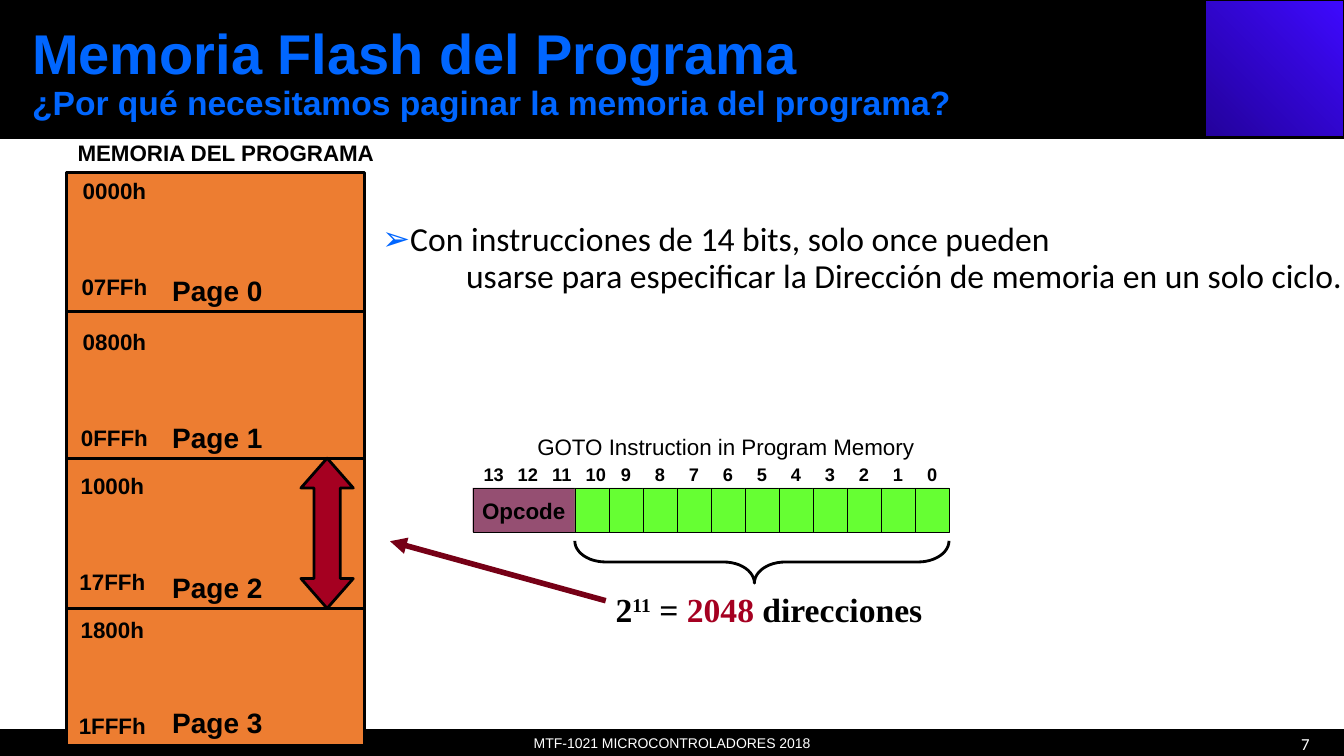
import pptx
import pptx.dml.color
import pptx.enum.dml
import pptx.enum.shapes
import pptx.enum.text
import pptx.oxml
import pptx.oxml.ns
import pptx.util
from lxml import etree

Pt = pptx.util.Pt
RGBColor = pptx.dml.color.RGBColor
SHAPE = pptx.enum.shapes.MSO_SHAPE
ALIGN = pptx.enum.text.PP_ALIGN
ANCHOR = pptx.enum.text.MSO_ANCHOR
qn = pptx.oxml.ns.qn

BLACK = RGBColor(0x00, 0x00, 0x00)
WHITE = RGBColor(0xFF, 0xFF, 0xFF)
BLUE = RGBColor(0x00, 0x66, 0xFF)
ORANGE = RGBColor(0xED, 0x7D, 0x31)
RED = RGBColor(0xA5, 0x00, 0x21)
DARK_RED = RGBColor(0x76, 0x00, 0x16)
PLUM = RGBColor(0x95, 0x4F, 0x72)
GREEN = RGBColor(0x66, 0xFF, 0x33)
CORNER_STOPS = [RGBColor(0x23, 0x02, 0x9B), RGBColor(0x3E, 0x09, 0xFF)]

# Content
TITLE = [("Memoria Flash del Programa", 40),
         ("¿Por qué necesitamos paginar la memoria del programa?", 24)]
BODY = ["Con instrucciones de 14 bits, solo once pueden",
        "usarse para especificar la Dirección de memoria en un solo ciclo."]
FOOTER, PAGE_NUMBER = "MTF-1021 MICROCONTROLADORES 2018", "7"
MEMORY_HEADING = "MEMORIA DEL PROGRAMA"
# name, first address, last address, address left, address top, page bottom
MEMORY_PAGES = [
    ("Page 0", "0000h", "07FFh", 47.5, 123, 222.5),
    ("Page 1", "0800h", "0FFFh", 47.5, 231, 327.6),
    ("Page 2", "1000h", "17FFh", 46, 333.4, 434.9),
    ("Page 3", "1800h", "1FFFh", 46, 436.3, 531.4),
]
GOTO_HEADING, OPCODE = "GOTO Instruction in Program Memory", "Opcode"
BIT_COUNT, OPCODE_BITS = 14, 3

# Formats
BOLD = {"name": "Arial", "bold": True}
LABEL = {**BOLD, "size": Pt(16)}
PAGE_LABEL = {**BOLD, "size": Pt(20)}
BIT_LABEL = {**BOLD, "size": Pt(13)}
HEADING = {"name": "Arial", "size": Pt(16)}
FORMULA = {"name": "Times New Roman", "size": Pt(24), "bold": True}
INSETS = {"margin_left": Pt(7.2), "margin_right": Pt(7.2),
          "margin_top": Pt(3.6), "margin_bottom": Pt(3.6)}
SMALL_INSETS = {"margin_left": Pt(6.5), "margin_right": Pt(6.5),
                "margin_top": Pt(3), "margin_bottom": Pt(3)}

# Geometry
MEMORY = (47.5, 123.1, 213.1, 409)
PITCH = 24.3
REGISTER_LEFT, REGISTER_TOP, REGISTER_HEIGHT = 337.7, 348.5, 31.7
ADDRESS_LEFT = REGISTER_LEFT + OPCODE_BITS * PITCH


def assign(target, values):
    """Set each attribute of the target from a dict."""
    for name, value in values.items():
        setattr(target, name, value)


def place(thing, left, top, width, height):
    """Move and size an object, in points."""
    assign(thing, {"left": Pt(left), "top": Pt(top),
                   "width": Pt(width), "height": Pt(height)})


def add_span(para, text, font, color=BLACK):
    """Append formatted text to a paragraph."""
    span = para.add_run()
    span.text = text
    assign(span.font, font)
    span.font.color.rgb = color
    return span


def add_label(page, area, text, font, align=ALIGN.LEFT, color=BLACK, **frame):
    """Add a text box with one line of text."""
    box = page.shapes.add_textbox(*map(Pt, area))
    assign(box.text_frame, {"word_wrap": True, **INSETS, **frame})
    para = box.text_frame.paragraphs[0]
    para.alignment = align
    if text:
        add_span(para, text, font, color)
    return box


def add_block(page, kind, area, fill=None, weight=2):
    """Add a preset shape with a black outline."""
    shape = page.shapes.add_shape(kind, *map(Pt, area))
    shape.shadow.inherit = False
    if fill is None:
        shape.fill.background()
    else:
        shape.fill.solid()
        shape.fill.fore_color.rgb = fill
    shape.line.color.rgb = BLACK
    shape.line.width = Pt(weight)
    return shape


def write_block(shape, text, font, color):
    """Write centred text in a shape."""
    assign(shape.text_frame, {"vertical_anchor": ANCHOR.MIDDLE, "word_wrap": False})
    para = shape.text_frame.paragraphs[0]
    para.alignment = ALIGN.CENTER
    add_span(para, text, font, color)


def add_line(page, start, end, color=BLACK, weight=2):
    """Add a straight line without a shadow."""
    line = page.shapes.add_connector(
        pptx.enum.shapes.MSO_CONNECTOR.STRAIGHT, *map(Pt, start + end))
    line.line.color.rgb = color
    line.line.width = Pt(weight)
    etree.SubElement(line._element.spPr, qn("a:effectLst"))
    return line


def add_frame(page):
    """Draw the header, the corner square, the footer and the page number."""
    add_block(page, SHAPE.RECTANGLE, (0, 0, 960, 98.6), BLACK, 1)
    corner = add_block(page, SHAPE.RECTANGLE, (861.1, 0, 98.9, 98), weight=1)
    corner.fill.gradient()
    corner.fill.gradient_angle = 45
    for stop, color in zip(corner.fill.gradient_stops, CORNER_STOPS):
        stop.color.rgb = color
    footer = add_block(page, SHAPE.RECTANGLE, (0, 521.3, 960, 18.7), BLACK, 1)
    write_block(footer, FOOTER, {"name": "Arial", "size": Pt(10)}, WHITE)
    add_label(page, (726.5, 517, 216, 28.8), PAGE_NUMBER,
              {"name": "Calibri", "size": Pt(12)}, ALIGN.RIGHT, WHITE,
              vertical_anchor=ANCHOR.MIDDLE)


def fill_placeholders(page):
    """Write the title and the bulleted statement."""
    title, body = page.shapes.title, page.placeholders[1]
    place(title, 15.8, 0, 799, 106.6)
    place(body, 265.7, 155.5, 700, 100)
    for holder, anchor in ((title, ANCHOR.MIDDLE), (body, ANCHOR.TOP)):
        page.shapes._spTree.append(holder._element)
        assign(holder.text_frame, {
            **INSETS, "word_wrap": True, "vertical_anchor": anchor,
            "auto_size": pptx.enum.text.MSO_AUTO_SIZE.NONE})
        holder.text_frame.add_paragraph()
        for para in holder.text_frame.paragraphs:
            assign(para, {"alignment": ALIGN.LEFT, "line_spacing": 0.9,
                          "space_before": Pt(0)})
    for para, (text, size) in zip(title.text_frame.paragraphs, TITLE):
        add_span(para, text, {**BOLD, "size": Pt(size)}, BLUE)

    body.text_frame.margin_right = 0
    for para, text, margin, indent in zip(
            body.text_frame.paragraphs, BODY, (18, 60), (-18, 0)):
        add_span(para, text, {"name": "Calibri", "size": Pt(24)})
        props = para._p.get_or_add_pPr()
        props.set("marL", str(Pt(margin)))
        props.set("indent", str(Pt(indent)))
        if indent:
            color = etree.SubElement(props, qn("a:buClr"))
            etree.SubElement(color, qn("a:srgbClr"), val=str(BLUE))
            etree.SubElement(props, qn("a:buChar"), char="➢")
        else:
            etree.SubElement(props, qn("a:buNone"))


def add_memory(page):
    """Draw the program memory with its four pages."""
    add_block(page, SHAPE.RECTANGLE, MEMORY, ORANGE)
    add_label(page, (28.8, 95.8, 265, 26.6), MEMORY_HEADING, LABEL, ALIGN.CENTER)
    for name, first, last, left, top, bottom in MEMORY_PAGES:
        if name != MEMORY_PAGES[-1][0]:
            add_line(page, (46.5, bottom), (260, bottom))
        add_label(page, (115.9, bottom - 31, 90, 31), name, PAGE_LABEL)
        box = add_label(page, (left, top, 68.4, 95.8), first, LABEL, ALIGN.CENTER)
        para = box.text_frame.add_paragraph()
        assign(para, {"alignment": ALIGN.CENTER, "space_before": Pt(49.4)})
        add_span(para, last, LABEL)


def add_instruction(page):
    """Draw the instruction word, its bit numbers and the address brace."""
    add_label(page, (377.3, 306.7, 302.4, 26), GOTO_HEADING, HEADING, **SMALL_INSETS)
    opcode = add_block(page, SHAPE.RECTANGLE, (
        REGISTER_LEFT, REGISTER_TOP, OPCODE_BITS * PITCH, REGISTER_HEIGHT), PLUM, 0.25)
    assign(opcode.text_frame, SMALL_INSETS)
    write_block(opcode, OPCODE, LABEL, BLACK)
    for index in range(BIT_COUNT):
        left, bit = REGISTER_LEFT + index * PITCH, BIT_COUNT - 1 - index
        if index >= OPCODE_BITS:
            add_block(page, SHAPE.RECTANGLE,
                      (left, REGISTER_TOP, PITCH, REGISTER_HEIGHT), GREEN, 0.25)
        add_label(page, (left, 327.6, 30 if bit >= 10 else PITCH, 22.3), str(bit),
                  BIT_LABEL, ALIGN.CENTER, **SMALL_INSETS)

    span_width, depth = (BIT_COUNT - OPCODE_BITS) * PITCH, 30.2
    brace = add_block(page, SHAPE.LEFT_BRACE, (
        ADDRESS_LEFT + (span_width - depth) / 2, 401.4 - span_width / 2,
        depth, span_width))
    brace.rotation = 270
    brace.adjustments[0], brace.adjustments[1] = 0.73, 0.48


def add_result(page):
    """Write the address count and point it at the size of a page."""
    box = add_label(page, (432.7, 416.9, 250, 36), "", FORMULA)
    para = box.text_frame.paragraphs[0]
    spans = [add_span(para, text, FORMULA, color) for text, color in (
        ("2", BLACK), ("11", BLACK), (" = ", BLACK), ("2048 ", RED),
        ("direcciones", BLACK))]
    spans[1].font._element.set("baseline", "30000")

    extent = add_block(page, SHAPE.LEFT_RIGHT_ARROW, (180, 362.2, 107.3, 37.4), RED)
    extent.rotation = 90
    extent.adjustments[0], extent.adjustments[1] = 0.5, 0.57
    pointer = add_line(page, (432.7, 429.1), (278.6, 386.6), DARK_RED, 4)
    etree.SubElement(pointer.line._get_or_add_ln(), qn("a:tailEnd"), type="triangle")


deck = pptx.Presentation()
deck.slide_width, deck.slide_height = Pt(960), Pt(540)
slide = deck.slides.add_slide(deck.slide_layouts[1])
for build in (add_frame, fill_placeholders, add_memory, add_instruction, add_result):
    build(slide)
deck.save("out.pptx")
